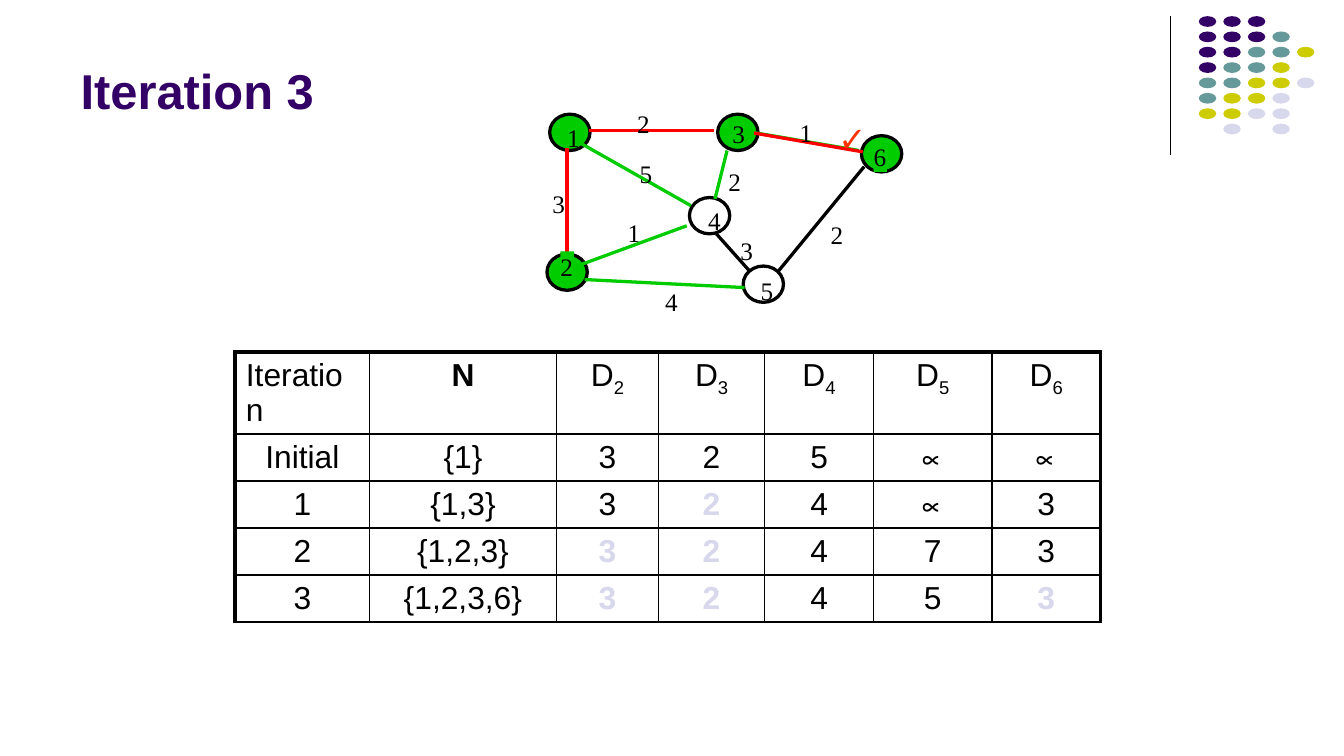
from lxml.etree import SubElement
from pptx import Presentation
from pptx.dml.color import RGBColor
from pptx.enum.shapes import MSO_CONNECTOR, MSO_SHAPE
from pptx.enum.text import MSO_ANCHOR, PP_ALIGN
from pptx.oxml.ns import qn
from pptx.util import Inches, Pt

COLORS = {
    "purple": "330066", "teal": "669999", "olive": "CCCC00", "pale": "D8D8EC",
    "black": "000000", "green": "00CC00", "red": "FF0000", "orange": "FF3300",
}


def add_run(paragraph, text, size, font, color="black", bold=False):
    run = paragraph.add_run()
    run.text = text
    run.font.size = Pt(size)
    run.font.name = font
    run.font.bold = bold
    run.font.color.rgb = RGBColor.from_string(COLORS[color])
    return run


def add_line(x1, y1, x2, y2, color, width):
    line = slide.shapes.add_connector(
        MSO_CONNECTOR.STRAIGHT, Inches(x1), Inches(y1), Inches(x2), Inches(y2))
    line.line.color.rgb = RGBColor.from_string(COLORS[color])
    line.line.width = Pt(width)
    SubElement(line._element.spPr, qn("a:effectLst"))


prs = Presentation()
prs.slide_width = Inches(10)
prs.slide_height = Inches(10 * 9 / 16)
slide = prs.slides.add_slide(prs.slide_layouts[5])

add_line(8.71, 0.12, 8.71, 1.15, "black", 0.75)
dot_colors = {"P": "purple", "T": "teal", "O": "olive", "L": "pale"}
dot_rows = ["PPP", "PPPT", "PPTTO", "PTTO", "TTOOL", "TOOL", "OOLL", " L L"]
dot_step_x, dot_step_y = (9.65 - 8.92) / 4, (0.92 - 0.12) / 7
for row, dots in enumerate(dot_rows):
    for col, code in enumerate(dots):
        if code == " ":
            continue
        dot = slide.shapes.add_shape(
            MSO_SHAPE.OVAL, Inches(8.92 + dot_step_x * col),
            Inches(0.12 + dot_step_y * row), Inches(0.13), Inches(0.08))
        dot.shadow.inherit = False
        dot.fill.solid()
        dot.fill.fore_color.rgb = RGBColor.from_string(COLORS[dot_colors[code]])
        dot.line.fill.background()

title = slide.shapes.title
title.left, title.top = Inches(0.5), Inches(0.1)
title.width, title.height = Inches(8.25), Inches(0.84)
title.text_frame.vertical_anchor = MSO_ANCHOR.BOTTOM
title.text_frame.paragraphs[0].alignment = PP_ALIGN.LEFT
add_run(title.text_frame.paragraphs[0], "Iteration 3", 26.2, "Arial", "purple", True)

distances = [
    ["Iteration", "N", "D2", "D3", "D4", "D5", "D6"],
    ["Initial", "{1}", "3", "2", "5", "∝", "∝"],
    ["1", "{1,3}", "3", "2", "4", "∝", "3"],
    ["2", "{1,2,3}", "3", "2", "4", "7", "3"],
    ["3", "{1,2,3,6}", "3", "2", "4", "5", "3"],
]
settled = {(2, 3), (3, 2), (3, 3), (4, 2), (4, 3), (4, 6)}
column_widths = [1, 1.39, 0.76, 0.79, 0.81, 0.88, 0.81]
row_height = 0.35
table = slide.shapes.add_table(
    5, 7, Inches(1.75), Inches(2.62),
    Inches(sum(column_widths)), Inches(5 * row_height)).table
table.first_row = False
table.horz_banding = False
for column, width in zip(table.columns, column_widths):
    column.width = Inches(width)
for row, values in enumerate(distances):
    for col, value in enumerate(values):
        cell = table.cell(row, col)
        cell.margin_left = cell.margin_right = Inches(0.08)
        cell.margin_top = cell.margin_bottom = Inches(0.04)
        paragraph = cell.text_frame.paragraphs[0]
        paragraph.alignment = PP_ALIGN.LEFT if row == col == 0 else PP_ALIGN.CENTER
        if row == 0 and col > 1:
            add_run(paragraph, value[0], 17, "Arial")
            subscript = add_run(paragraph, value[1], 17, "Arial")
            subscript._r.get_or_add_rPr().set("baseline", "-25000")
        else:
            is_settled = (row, col) in settled
            add_run(paragraph, value, 17, "Arial",
                    "pale" if is_settled else "black", is_settled or value == "N")
        outer = {"L": col == 0, "R": col == 6, "T": row == 0, "B": False}
        for side, thick in outer.items():
            border = SubElement(cell._tc.get_or_add_tcPr(), qn(f"a:ln{side}"),
                                w=str(Pt(2.25 if thick else 1)))
            border_fill = SubElement(border, qn("a:solidFill"))
            SubElement(border_fill, qn("a:srgbClr"), val=COLORS["black"])
        cell.fill.background()

nodes = [
    (4.09, 0.85, True), (4.07, 1.89, True), (5.34, 0.85, True),
    (5.13, 1.47, False), (5.53, 1.98, False), (6.41, 1.01, True),
]
for x, y, visited in nodes:
    node = slide.shapes.add_shape(
        MSO_SHAPE.OVAL, Inches(x), Inches(y), Inches(0.3), Inches(0.27))
    node.shadow.inherit = False
    if visited:
        node.fill.solid()
        node.fill.fore_color.rgb = RGBColor.from_string(COLORS["green"])
    else:
        node.fill.background()
    node.line.color.rgb = RGBColor.from_string(COLORS["black"])
    node.line.width = Pt(1.75)

edges = [
    (4.38, 0.97, 5.31, 0.97, "red"), (5.41, 1.12, 5.32, 1.48, "green"),
    (5.33, 1.74, 5.58, 2.02, "black"), (5.79, 2.02, 6.43, 1.24, "black"),
    (5.54, 2.14, 4.35, 2.08, "green"), (4.22, 1.1, 4.22, 1.89, "red"),
    (4.31, 1.06, 5.14, 1.53, "green"), (5.57, 0.98, 6.39, 1.12, "green"),
    (5.11, 1.68, 4.32, 1.97, "green"), (5.61, 0.99, 6.42, 1.13, "red"),
]
for x1, y1, x2, y2, color in edges:
    add_line(x1, y1, x2, y2, color, 1.75)

node_labels = [
    ("1", 4.22, 0.91, False), ("2", 4.17, 1.87, True), ("3", 5.45, 0.88, False),
    ("4", 5.27, 1.53, False), ("5", 5.66, 2.05, False), ("6", 6.5, 1.05, True),
]
edge_weights = [
    ("1", 4.67, 1.62, False), ("1", 5.95, 0.87, False), ("2", 5.42, 1.24, False),
    ("3", 5.51, 1.75, False), ("2", 6.18, 1.63, False), ("3", 4.11, 1.4, False),
    ("5", 4.76, 1.18, False), ("2", 4.74, 0.81, False), ("4", 4.95, 2.13, False),
]
for text, x, y, filled in node_labels + edge_weights:
    label = slide.shapes.add_textbox(Inches(x), Inches(y), Inches(0.1), Inches(0.23))
    if filled:
        label.fill.solid()
        label.fill.fore_color.rgb = RGBColor.from_string(COLORS["green"])
    frame = label.text_frame
    frame.word_wrap = False
    frame.margin_left = frame.margin_right = frame.margin_top = frame.margin_bottom = 0
    add_run(frame.paragraphs[0], text, 13.5, "Times New Roman")

check_mark = slide.shapes.add_textbox(Inches(6.14), Inches(0.83), Inches(0.4), Inches(0.4))
check_mark.text_frame.word_wrap = False
add_run(check_mark.text_frame.paragraphs[0], "✓", 18, "Arial", "orange")

prs.save("out.pptx")
